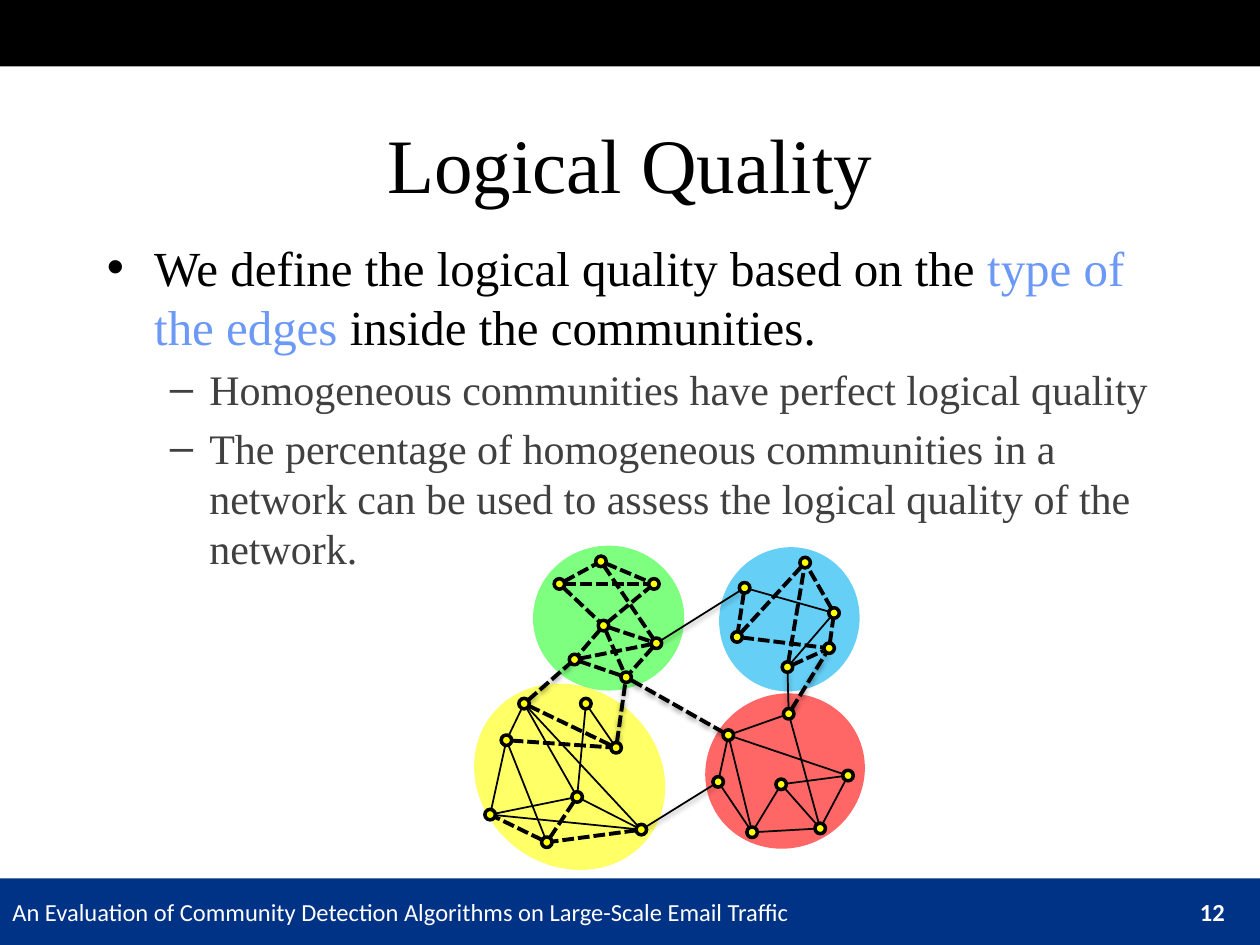
from math import hypot

from lxml.etree import SubElement as Sub
from pptx import Presentation
from pptx.dml.color import RGBColor as RGB
from pptx.enum.dml import MSO_LINE as Dash
from pptx.enum.shapes import MSO_CONNECTOR as Conn, MSO_SHAPE as Kind
from pptx.enum.text import MSO_ANCHOR as Anchor, PP_ALIGN as Align
from pptx.oxml.ns import qn
from pptx.util import Pt

HUES = {
    "black": "000000", "white": "FFFFFF", "navy": "003286",
    "link": "6C98F6", "gray": "404040", "node": "FFFF00",
    "red": "FF0000", "yellow": "FFFF00", "blue": "00B0F0", "green": "2BFF2B",
}
SERIF = "Times New Roman"
SANS = "Calibri"
NODE = 6

GROUPS = [
    ("red", 402.5, 396.7, 92.2, 87.8, 331.8),
    ("yellow", 268.6, 393.1, 113.8, 101.5, 38.7),
    ("blue", 411.1, 312.5, 79.9, 82.8, 21.4),
    ("green", 304.6, 311.8, 86.4, 82.8, 0),
]
NODES = {
    "b": [(460.1, 321.5), (421.2, 364), (476.6, 350.3), (425.5, 335.9),
          (473.8, 370.4), (450, 381.2)],
    "g": [(319.7, 333.7), (373.7, 333.7), (375.1, 367.6), (328.3, 376.9),
          (344.9, 357.5), (343.4, 320.8), (357.8, 387)],
    "y": [(299.5, 402.1), (280.1, 465.5), (289.4, 423), (329.8, 455.4),
          (352.1, 427.3), (334.8, 402.1), (366.5, 474.1), (312.5, 481.3)],
    "r": [(450.7, 407.9), (410.4, 446.8), (416.2, 420.1), (429.8, 475.6),
          (468.7, 473.4), (484.6, 443.2), (446.4, 448.2)],
}
SOLID = """b4-b3 b6-b3
    y1-y4 y4-y6 y2-y4 y2-y3 y3-y1 y4-y7 y5-y6 y8-y3 y7-y1 y7-y2
    r2-r3 r7-r6 r5-r1 r4-r3 r7-r4 r3-r6 r5-r4 r1-r3 r6-r5 r4-r2 r5-r7
    r1-b6 g3-b4 y7-r2"""
DASHED = """b4-b2 b2-b5 b2-b1 b6-b1 b6-b5 b5-b3 b3-b1
    g1-g6 g5-g4 g1-g5 g6-g2 g5-g3 g4-g3 g6-g3 g5-g2 g4-g7 g5-g7 g3-g7 g1-g2
    y8-y4 y1-y5 y3-y5 y7-y8 y8-y2
    r3-g7 y1-g4 y5-g7 r1-b5"""

BODY = [
    (0, [("We define the logical quality based on the ", "black"),
         ("type of the edges", "link"),
         (" inside the communities.", "black")]),
    (1, [("Homogeneous communities have perfect logical quality", "gray")]),
    (1, [("The percentage of homogeneous communities in a network can be used "
          "to assess the logical quality of the network.", "gray")]),
]
LEVELS = [("•", 27, -27, 28), ("–", 58.5, -22.5, 24)]


def hue(name):
    return RGB.from_string(HUES[name])


def style(font, face, size, name, bold=False):
    font.name, font.size, font.bold = face, Pt(size), bold
    font.color.rgb = hue(name)


def add_box(slide, kind, fill, *place):
    shape = slide.shapes.add_shape(kind, *map(Pt, place))
    shape.shadow.inherit = False
    shape.fill.solid()
    shape.fill.fore_color.rgb = hue(fill)
    shape.line.fill.background()
    return shape


def add_group(slide, fill, x, y, wide, high, turn):
    shape = add_box(slide, Kind.OVAL, fill, x, y, wide, high)
    shape.rotation = turn
    color = shape.fill._xPr.find(".//" + qn("a:srgbClr"))
    Sub(color, qn("a:alpha"), val="60000")


def add_node(slide, x, y):
    dot = add_box(slide, Kind.OVAL, "node", x - NODE / 2, y - NODE / 2, NODE, NODE)
    dot.line.color.rgb = hue("black")
    dot.line.width = Pt(2)


def add_shade(effects):
    shade = Sub(effects, qn("a:outerShdw"), blurRad=str(Pt(3.1)),
                dist=str(Pt(1.6)), dir="5400000", rotWithShape="0")
    color = Sub(shade, qn("a:srgbClr"), val=HUES["black"])
    Sub(color, qn("a:alpha"), val="38000")


def add_edge(slide, pair, dashed):
    start, end = pair.split("-")
    (ax, ay), (bx, by) = (NODES[n[0]][int(n[1]) - 1] for n in (start, end))
    part = NODE / 2 / hypot(bx - ax, by - ay)
    dx, dy = (bx - ax) * part, (by - ay) * part
    ends = (ax + dx, ay + dy, bx - dx, by - dy)
    edge = slide.shapes.add_connector(Conn.STRAIGHT, *map(Pt, ends))
    edge.line.color.rgb = hue("black")
    edge.line.width = Pt(2.25 if dashed else 1)
    if dashed:
        edge.line.dash_style = Dash.SQUARE_DOT
    effects = Sub(edge._element.spPr, qn("a:effectLst"))
    if start[0] != end[0]:
        add_shade(effects)


def add_title(slide, text):
    title = slide.shapes.title
    title.left, title.top, title.width, title.height = map(Pt, (54, 48, 612, 90))
    frame = title.text_frame
    frame.text = text
    frame.vertical_anchor = Anchor.MIDDLE
    para = frame.paragraphs[0]
    para.alignment = Align.CENTER
    style(para.runs[0].font, SERIF, 44, "black")


def add_body(slide):
    frame = slide.shapes.add_textbox(*map(Pt, (54, 132, 624, 324))).text_frame
    frame.word_wrap = True
    for i, (level, parts) in enumerate(BODY):
        para = frame.add_paragraph() if i else frame.paragraphs[0]
        mark, left, hang, size = LEVELS[level]
        para.level = level
        props = para._p.get_or_add_pPr()
        props.set("marL", str(Pt(left)))
        props.set("indent", str(Pt(hang)))
        Sub(props, qn("a:buFont"), typeface="Arial")
        Sub(props, qn("a:buChar"), char=mark)
        if i:
            para.space_before = Pt(size / 5)
        for text, name in parts:
            run = para.add_run()
            run.text = text
            style(run.font, SERIF, size, name)


def add_foot(slide, text, page):
    bar = add_box(slide, Kind.RECTANGLE, "navy", 0, 502, 720, 38)
    bar.text_frame.vertical_anchor = Anchor.MIDDLE
    para = bar.text_frame.paragraphs[0]
    para.alignment = Align.LEFT
    tabs = Sub(para._p.get_or_add_pPr(), qn("a:tabLst"))
    Sub(tabs, qn("a:tab"), pos=str(Pt(692.8)), algn="r")
    for part, bold in ((text + "\t", False), (page, True)):
        run = para.add_run()
        run.text = part
        style(run.font, SANS, 14, "white", bold)


def main():
    deck = Presentation()
    deck.slide_width, deck.slide_height = Pt(720), Pt(540)
    slide = deck.slides.add_slide(deck.slide_layouts[5])
    add_foot(slide, "An Evaluation of Community Detection Algorithms on "
             "Large-Scale Email Traffic", "12")
    add_box(slide, Kind.RECTANGLE, "black", 0, 0, 720, 38)
    add_body(slide)
    add_title(slide, "Logical Quality")
    for group in GROUPS:
        add_group(slide, *group)
    for pairs, dashed in ((SOLID, False), (DASHED, True)):
        for pair in pairs.split():
            add_edge(slide, pair, dashed)
    for spots in NODES.values():
        for x, y in spots:
            add_node(slide, x, y)
    deck.save("out.pptx")


if __name__ == "__main__":
    main()
